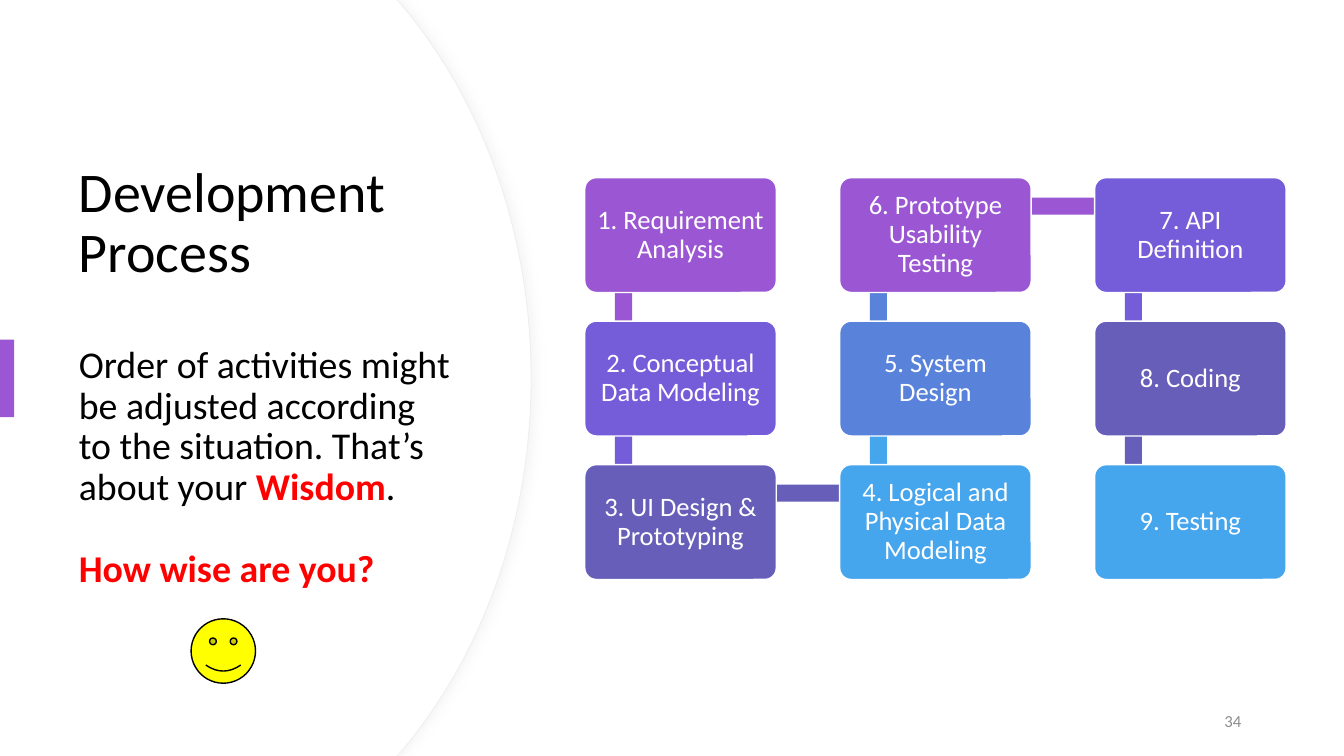
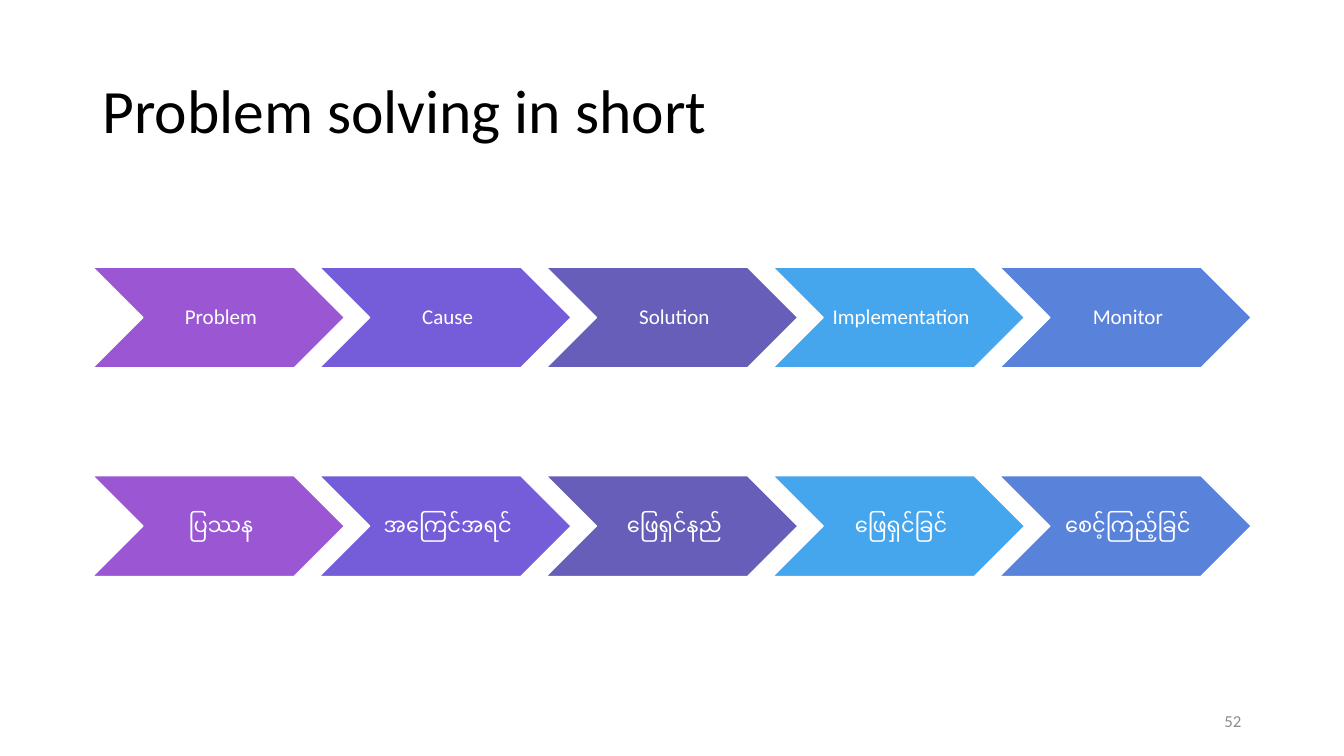
from dataclasses import dataclass

from lxml import etree
from pptx import Presentation
from pptx.dml.color import RGBColor
from pptx.enum.shapes import MSO_SHAPE
from pptx.enum.text import MSO_ANCHOR, PP_ALIGN
from pptx.util import Pt

RECTANGLE = MSO_SHAPE.RECTANGLE
ROUNDED = MSO_SHAPE.ROUNDED_RECTANGLE
CHEVRON = MSO_SHAPE.CHEVRON
SMILEY = MSO_SHAPE.SMILEY_FACE
MIDDLE = MSO_ANCHOR.MIDDLE
LEFT, CENTER, RIGHT = PP_ALIGN.LEFT, PP_ALIGN.CENTER, PP_ALIGN.RIGHT
DRAWING = "{http://schemas.openxmlformats.org/drawingml/2006/main}"


@dataclass(frozen=True)
class Theme:
    font: str = "Calibri"
    ink: str = "000000"
    paper: str = "FFFFFF"
    alert: str = "FF0000"
    smile: str = "FFFF00"
    muted: str = "8C8C8C"
    edge: str = "EFEFEF"
    shadow: str = "D9D9D9"
    accents: tuple = ("9B57D3", "755DD9", "665EB8", "45A5ED", "5982DB")
    title: int = 44
    side_title: int = 40
    body: int = 27
    step: int = 19
    stage: int = 15
    number: int = 12
    line_spacing: float = 0.9

    def accent(self, index):
        return self.accents[index % len(self.accents)]


THEME = Theme()

PROCESS_TEXT = [
    {"spans": [("Development Process", {})], "size": THEME.side_title},
    {"spans": [
        ("Order of activities might be adjusted according to the situation. That’s about your ", {}),
        ("Wisdom", {"color": THEME.alert, "bold": True}),
        (".", {}),
    ], "size": THEME.body, "before": 43.3},
    {"spans": [("How wise are you?", {"color": THEME.alert, "bold": True})],
     "size": THEME.body, "before": 29.3},
]
STEPS = [
    "1. Requirement Analysis",
    "2. Conceptual Data Modeling",
    "3. UI Design & Prototyping",
    "4. Logical and Physical Data Modeling",
    "5. System Design",
    "6. Prototype Usability Testing",
    "7. API Definition",
    "8. Coding",
    "9. Testing",
]
SOLVING_TITLE = "Problem solving in short"
STAGE_ROWS = [
    (190.8, ["Problem", "Cause", "Solution", "Implementation", "Monitor"]),
    (339.8, ["ပြဿနာ", "အကြောင်းအရင်း", "ဖြေရှင်းနည်း", "ဖြေရှင်းခြင်း", "စောင့်ကြည့်ခြင်း"]),
]

STEP_ROWS = 3
STEP_LEFT, STEP_TOP, STEP_WIDTH, STEP_HEIGHT = 417.7, 126.9, 136.8, 82
STEP_PITCH_X, STEP_PITCH_Y = 182.1, 102.5
LINK_THICKNESS = 12.2
STAGE_LEFT, STAGE_WIDTH, STAGE_HEIGHT, STAGE_PITCH = 66.1, 180, 72, 161.95
PANEL_HEIGHT = 540
PANEL_UPPER = [(283.7, 0), (288.7, 5.8), (344.9, 73.4), (379.4, 167)]
PANEL_TIP = (379.4, 270)


def color(value):
    return RGBColor.from_string(value)


def write(shape, paragraphs, *, size=None, ink=THEME.ink, align=LEFT,
          insets=(7.2, 3.6, 7.2, 3.6), spacing=THEME.line_spacing):
    if isinstance(paragraphs, str):
        paragraphs = [{"spans": [(paragraphs, {})]}]
    frame = shape.text_frame
    frame.word_wrap = True
    frame.vertical_anchor = MIDDLE
    frame.margin_left, frame.margin_top, frame.margin_right, frame.margin_bottom = map(Pt, insets)
    for index, item in enumerate(paragraphs):
        para = frame.add_paragraph() if index else frame.paragraphs[0]
        para.alignment = align
        para.line_spacing = spacing
        if "before" in item:
            para.space_before = Pt(item["before"])
        for text, style in item["spans"]:
            span = para.add_run()
            span.text = text
            span.font.name = THEME.font
            span.font.size = Pt(item.get("size", size))
            span.font.bold = style.get("bold", False)
            span.font.color.rgb = color(style.get("color", ink))


def add_text(page, bounds, text, **style):
    box = page.shapes.add_textbox(*map(Pt, bounds))
    write(box, text, **style)


def paint(shape, fill, line=None, width=1):
    shape.shadow.inherit = False
    shape.fill.solid()
    shape.fill.fore_color.rgb = color(fill)
    if line:
        shape.line.color.rgb = color(line)
        shape.line.width = Pt(width)
    else:
        shape.line.fill.background()


def add_shape(page, kind, bounds, fill, line=None):
    shape = page.shapes.add_shape(kind, *map(Pt, bounds))
    paint(shape, fill, line)
    return shape


def add_number(page, number):
    add_text(page, (677.8, 500.4, 216, 28.8), number, size=THEME.number,
             ink=THEME.muted, align=RIGHT, spacing=1.0)


def bend(corners):
    for start in range(0, len(corners), 3):
        group = corners[start:start + 3]
        curve = etree.Element(f"{DRAWING}cubicBezTo")
        group[0].addprevious(curve)
        for corner in group:
            curve.append(corner[0])
            corner.getparent().remove(corner)


def add_panel(page, shift, line=None):
    lower = [(x, PANEL_HEIGHT - y) for x, y in reversed(PANEL_UPPER)]
    outline = [(x - shift, y) for x, y in PANEL_UPPER + [PANEL_TIP] + lower]
    outline.append((0, PANEL_HEIGHT))
    builder = page.shapes.build_freeform(0, 0)
    builder.add_line_segments([(Pt(x), Pt(y)) for x, y in outline], close=True)
    panel = builder.convert_to_shape()
    bend(list(panel.element.iter(f"{DRAWING}lnTo"))[2:8])
    paint(panel, THEME.paper, line, 0.75)
    return panel


def add_shadow(shape):
    effects = shape.element.spPr.find(f"{DRAWING}effectLst")
    shadow = etree.SubElement(effects, f"{DRAWING}outerShdw", blurRad=str(Pt(7)),
                              dist=str(Pt(3)), dir="0", algn="l", rotWithShape="0")
    tint = etree.SubElement(shadow, f"{DRAWING}srgbClr", val=THEME.shadow)
    etree.SubElement(tint, f"{DRAWING}alpha", val="25000")


def step_position(index):
    column, row = divmod(index, STEP_ROWS)
    if column % 2:
        row = STEP_ROWS - 1 - row
    return STEP_LEFT + column * STEP_PITCH_X, STEP_TOP + row * STEP_PITCH_Y


def add_steps(page):
    places = [step_position(index) for index in range(len(STEPS))]
    for index, (start, end) in enumerate(zip(places, places[1:])):
        left, top = min(start[0], end[0]), min(start[1], end[1])
        if start[0] == end[0]:
            bounds = (left + 21.6, top + 20.5, LINK_THICKNESS, STEP_PITCH_Y)
        else:
            bounds = (left + 28, top + 14.2, STEP_PITCH_X, LINK_THICKNESS)
        add_shape(page, RECTANGLE, bounds, THEME.accent(index))
    for index, (label, place) in enumerate(zip(STEPS, places)):
        step = add_shape(page, ROUNDED, (*place, STEP_WIDTH, STEP_HEIGHT),
                         THEME.accent(index), THEME.paper)
        step.adjustments[0] = 0.1
        write(step, label, size=THEME.step, ink=THEME.paper, align=CENTER,
              insets=(5.7, 5.7, 5.7, 5.7))


def build_process(page):
    add_shadow(add_panel(page, 0, THEME.edge))
    add_panel(page, 0.6)
    add_text(page, (49.2, 91.4, 281, 356.4), PROCESS_TEXT)
    add_shape(page, RECTANGLE, (0, 242.6, 10.1, 55.4), THEME.accent(0))
    add_steps(page)
    add_shape(page, SMILEY, (136.5, 442, 46, 46), THEME.smile, THEME.ink)
    add_number(page, "34")


def build_solving(page):
    add_text(page, (66, 28.8, 828, 104.4), SOLVING_TITLE, size=THEME.title)
    for top, labels in STAGE_ROWS:
        for index, label in enumerate(labels):
            bounds = (STAGE_LEFT + index * STAGE_PITCH, top, STAGE_WIDTH, STAGE_HEIGHT)
            stage = add_shape(page, CHEVRON, bounds, THEME.accent(index), THEME.paper)
            write(stage, label, size=THEME.stage, ink=THEME.paper, align=CENTER,
                  insets=(5, 1.6, 1.6, 1.6))
    add_number(page, "52")


def main():
    deck = Presentation()
    deck.slide_width, deck.slide_height = Pt(960), Pt(540)
    blank = deck.slide_layouts[6]
    for build in (build_process, build_solving):
        build(deck.slides.add_slide(blank))
    deck.save("out.pptx")


if __name__ == "__main__":
    main()
